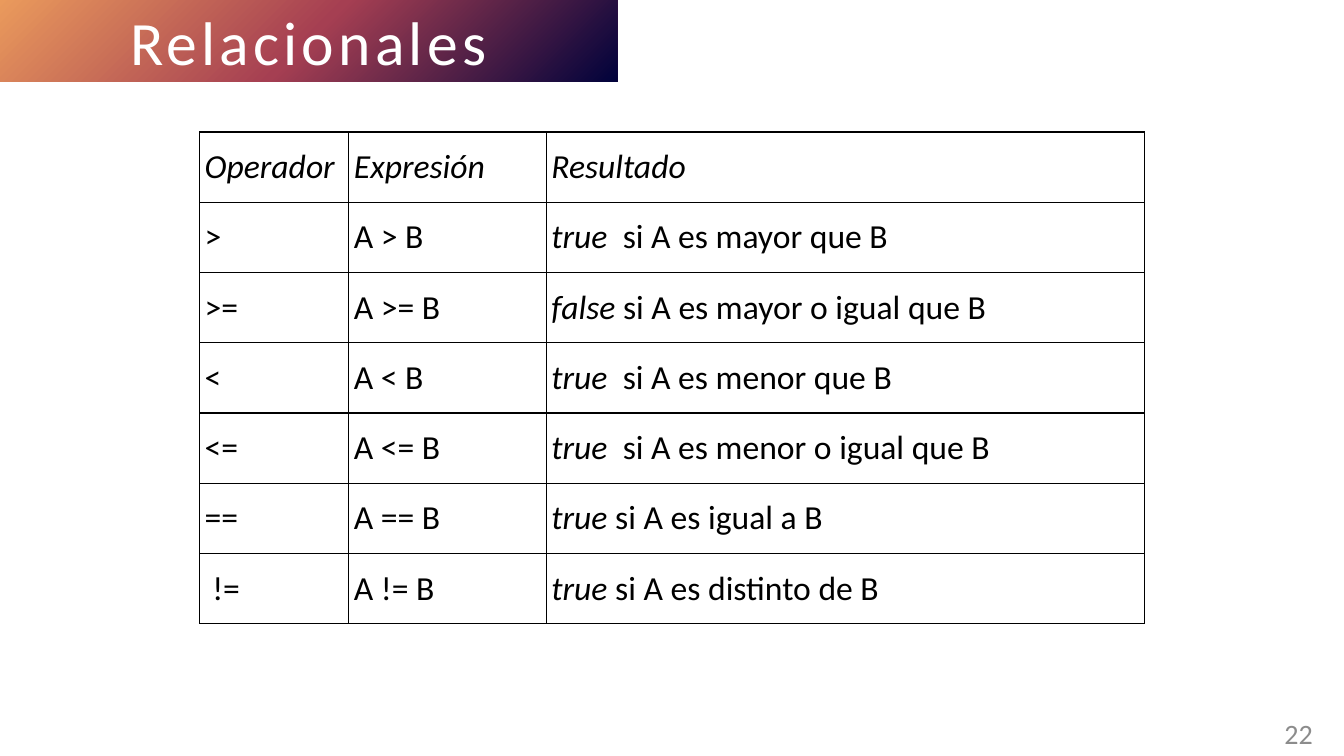
from lxml import etree
from pptx import Presentation, util as u
from pptx.dml.color import RGBColor
from pptx.enum import shapes, text
from pptx.oxml import parse_xml
from pptx.oxml.ns import nsdecls

PX = u.Inches(1) // 100
THEME = {
    "font": "Calibri",
    "white": "FFFFFF", "black": "000000", "gray": "8C8C8C",
    "glow": [(0, "01023B"), (50, "A53F52"), (100, "EA9A5C")],
    "title": 44, "body": 24, "page": 20,
}


def box(*sides):
    return [side * PX for side in sides]


def write(frame, runs, size, color, align=text.PP_ALIGN.LEFT):
    """Fill the frame's first paragraph with (words, italic) runs."""
    frame.vertical_anchor = text.MSO_ANCHOR.MIDDLE
    para = frame.paragraphs[0]
    para.alignment = align
    for words, slant in runs:
        run = para.add_run()
        run.text = words
        look = {"name": THEME["font"], "size": u.Pt(THEME[size]), "italic": slant}
        for key, value in look.items():
            setattr(run.font, key, value)
        run.font.color.rgb = RGBColor.from_string(THEME[color])


deck = Presentation()
deck.slide_width, deck.slide_height = box(1333, 750)
slide = deck.slides.add_slide(deck.slide_layouts[6])

# Title band, with a radial gradient centred on its lower right corner
band = slide.shapes.add_shape(shapes.MSO_SHAPE.RECTANGLE, *box(0, 0, 612, 81))
band.shadow.inherit = False
band.line.fill.background()
stops = "".join(
    f'<a:gs pos="{pos * 1000}"><a:srgbClr val="{color}"/></a:gs>'
    for pos, color in THEME["glow"])
band.fill.background()
blank = band.element.spPr.find("{*}noFill")
band.element.spPr.replace(blank, parse_xml(
    f'<a:gradFill {nsdecls("a")} rotWithShape="1"><a:gsLst>{stops}</a:gsLst>'
    '<a:path path="circle"><a:fillToRect l="100000" t="100000"/></a:path>'
    '</a:gradFill>'))
write(band.text_frame, [("Relacionales", False)], "title", "white",
      text.PP_ALIGN.CENTER)
band.text_frame.paragraphs[0].runs[0].font._element.set("spc", "300")

# Page number
page = slide.shapes.add_textbox(*box(1263, 707, 49, 40))
page.text_frame.word_wrap = True
write(page.text_frame, [("22", False)], "page", "gray", text.PP_ALIGN.RIGHT)

# Operators: sign, expression, truth value, condition
ROWS = [
    (">", "A > B", "true", "  si A es mayor que B"),
    (">=", "A >= B", "false", " si A es mayor o igual que B"),
    ("<", "A < B", "true", "  si A es menor que B"),
    ("<=", "A <= B", "true", "  si A es menor o igual que B"),
    ("==", "A == B", "true", " si A es igual a B"),
    (" !=", "A != B", "true", " si A es distinto de B"),
]
grid = [[[(head, True)] for head in ("Operador", "Expresión", "Resultado")]]
for sign, form, truth, rest in ROWS:
    grid.append([[(sign, False)], [(form, False)], [(truth, True), (rest, False)]])

table = slide.shapes.add_table(len(grid), 3, *box(198, 131, 937, 488)).table
for col, width in zip(table.columns, box(148, 196, 593)):
    col.width = width
for r, row in enumerate(grid):
    for c, runs in enumerate(row):
        cell = table.cell(r, c)
        for side in ("left", "right", "top", "bottom"):
            setattr(cell, f"margin_{side}", 5 * PX)
        cell.fill.solid()
        cell.fill.fore_color.rgb = RGBColor.from_string(THEME["white"])
        write(cell.text_frame, runs, "body", "black")
        cell.vertical_anchor = text.MSO_ANCHOR.MIDDLE
        props = cell._tc.get_or_add_tcPr()
        for i, edge in enumerate("LRTB"):
            props.insert(i, etree.fromstring(
                f'<a:ln{edge} {nsdecls("a")} w="{u.Pt(1)}"><a:solidFill>'
                f'<a:srgbClr val="{THEME["black"]}"/></a:solidFill></a:ln{edge}>'))

deck.save("out.pptx")
